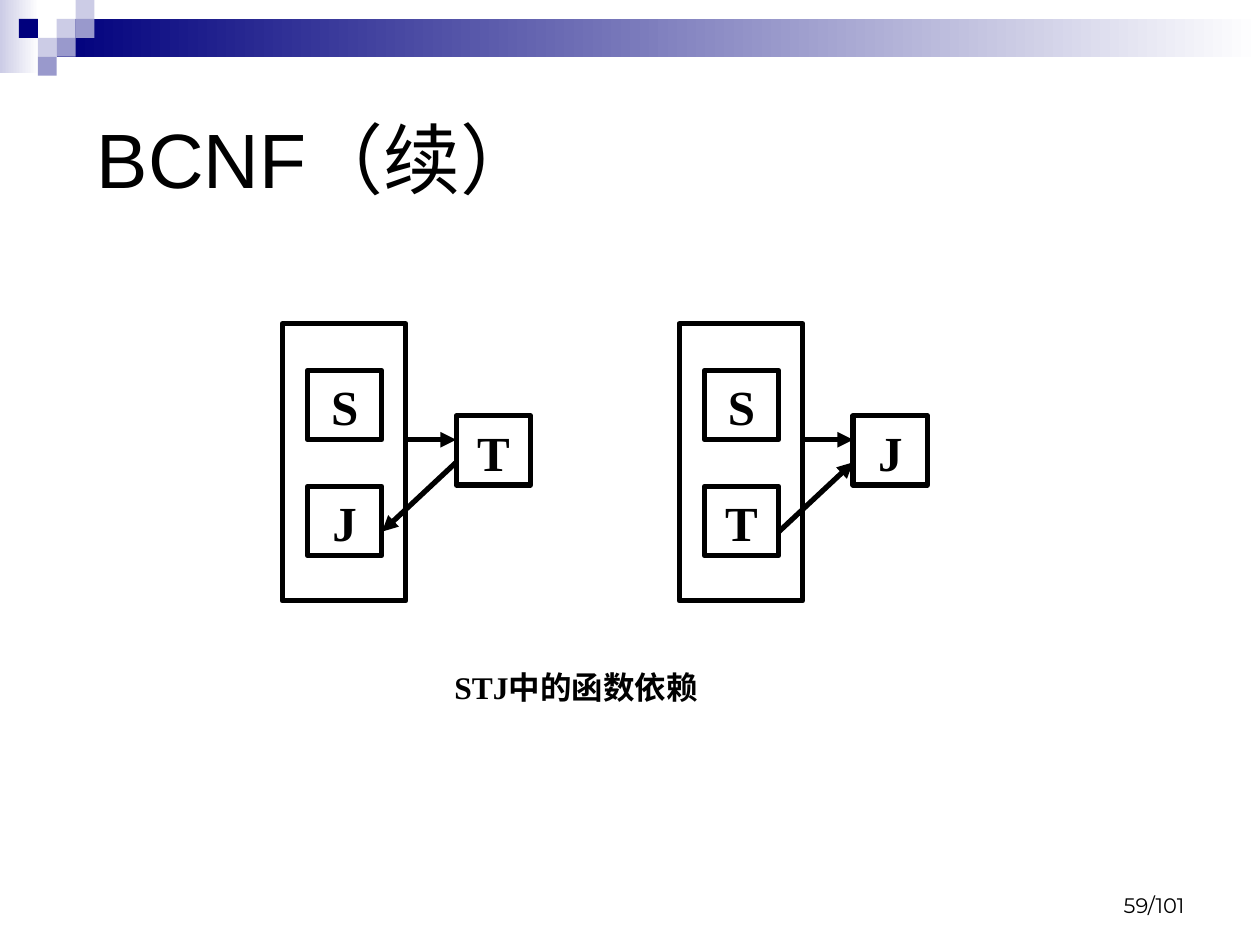
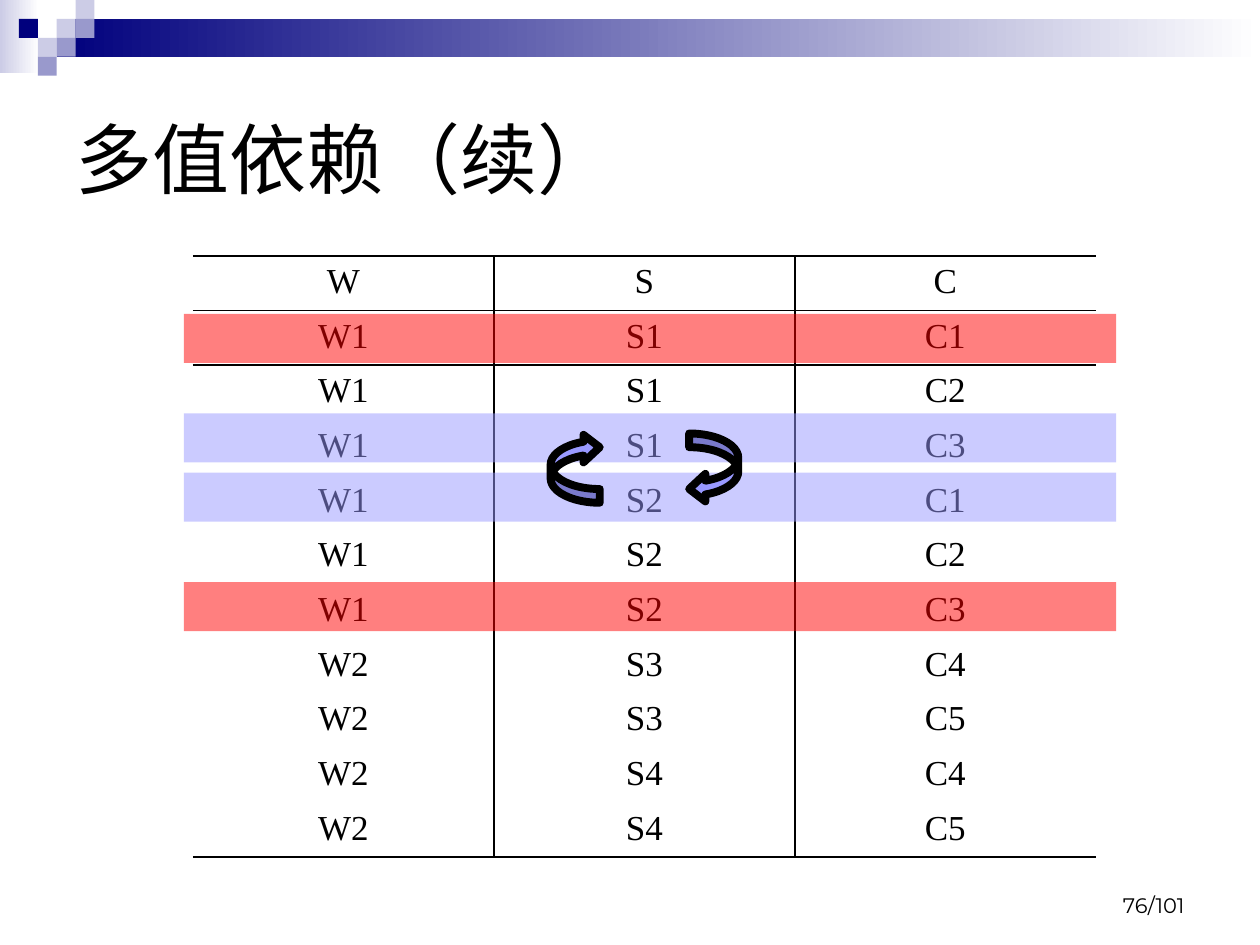
from dataclasses import dataclass

from lxml.etree import SubElement
from pptx import Presentation
from pptx.dml.color import RGBColor as RGB
from pptx.enum.shapes import MSO_CONNECTOR as CONNECTOR, MSO_SHAPE as SHAPE
from pptx.enum.text import MSO_ANCHOR as ANCHOR, MSO_AUTO_SIZE as AUTO_SIZE, PP_ALIGN as ALIGN
from pptx.oxml import parse_xml
from pptx.oxml.ns import nsdecls, qn
from pptx.util import Pt


@dataclass(frozen=True)
class Theme:
    black: RGB = RGB(0, 0, 0)
    white: RGB = RGB(255, 255, 255)
    navy: RGB = RGB.from_string("00007D")
    lilac: RGB = RGB.from_string("9999CC")
    pale: RGB = RGB.from_string("CCCCE6")
    violet: RGB = RGB.from_string("9999FF")
    red: RGB = RGB.from_string("FF0000")
    sans: str = "Arial"
    serif: str = "Times New Roman"
    footer: str = "Montserrat"
    title_size: int = 44
    node_size: int = 28
    table_size: int = 20
    caption_size: int = 18
    footer_size: int = 12
    heavy: float = 3
    arrow_line: float = 4.5


T = Theme()
UNIT = 10.8
NO_GRID = "{2D5ABB26-0587-4C30-8999-92F81FD0307C}"

MOSAIC = [
    (3, 1, T.pale), (4, 0, T.pale), (4, 1, T.lilac), (2, 2, T.pale),
    (1, 1, T.navy), (3, 2, T.lilac), (2, 3, T.lilac),
]

WSC_ROWS = [
    "W S C", "W1 S1 C1", "W1 S1 C2", "W1 S1 C3", "W1 S2 C1", "W1 S2 C2",
    "W1 S2 C3", "W2 S3 C4", "W2 S3 C5", "W2 S4 C4", "W2 S4 C5",
]

HIGHLIGHTS = [(236.2, T.violet), (179.3, T.red), (332.6, T.red), (270, T.violet)]


def set_text(tf, text, font, size, align, bold=False):
    tf.text = text
    p = tf.paragraphs[0]
    p.alignment = align
    for r in p.runs:
        r.font.name = font
        r.font.size = Pt(size)
        r.font.bold = bold
        r.font.color.rgb = T.black


def add_block(slide, box, fill=None, line=None, alpha=None, shape=SHAPE.RECTANGLE):
    s = slide.shapes.add_shape(shape, *map(Pt, box))
    s.shadow.inherit = False
    if fill is None:
        s.fill.background()
    else:
        s.fill.solid()
        s.fill.fore_color.rgb = fill
    if line is None:
        s.line.fill.background()
    else:
        s.line.color.rgb = T.black
        s.line.width = Pt(line)
    if alpha is not None:
        color = s.element.spPr.find(qn("a:solidFill"))[0]
        SubElement(color, qn("a:alpha"), val=str(alpha * 1000))
    return s


def add_gradient(slide, box, start):
    s = add_block(slide, box)
    s.fill.gradient()
    s.fill.gradient_angle = 0
    for stop, color in zip(s.fill.gradient_stops, (start, T.white)):
        stop.color.rgb = color


def add_label(slide, box, text, font, size, align, bold=False, anchor=ANCHOR.TOP):
    tf = slide.shapes.add_textbox(*map(Pt, box)).text_frame
    tf.word_wrap = True
    tf.vertical_anchor = anchor
    set_text(tf, text, font, size, align, bold)


def add_node(slide, x, y, text):
    s = add_block(slide, (x, y, 42.5, 39.6), line=T.heavy)
    s.text_frame.vertical_anchor = ANCHOR.TOP
    set_text(s.text_frame, text, T.serif, T.node_size, ALIGN.CENTER, True)


def add_arrow(slide, start, end):
    s = slide.shapes.add_connector(CONNECTOR.STRAIGHT, *map(Pt, start + end))
    s.line.color.rgb = T.black
    s.line.width = Pt(T.heavy)
    spPr = s.element.spPr
    SubElement(spPr.find(qn("a:ln")), qn("a:tailEnd"), type="triangle")
    SubElement(spPr, qn("a:effectLst"))


def add_dependency(slide, x, members, target, into_member):
    add_block(slide, (x, 185, 70.6, 158.4), line=T.heavy)
    for i, name in enumerate(members):
        add_node(slide, x + 14.4, 211.7 + i * 66.2, name)
    add_node(slide, x + 99.4, 237.6, target)
    add_arrow(slide, (x + 71, 251.3), (x + 99.4, 251.3))
    outer, inner = (x + 99.4, 264.2), (x + 57, 303.8)
    add_arrow(slide, *((outer, inner) if into_member else (inner, outer)))


def set_borders(cell, sides):
    cell.fill.background()
    tcPr = cell._tc.get_or_add_tcPr()
    for i, side in enumerate(s for s in "LRTB" if s in sides):
        tcPr.insert(i, parse_xml(
            f'<a:ln{side} {nsdecls("a")} w="12700"><a:solidFill>'
            f'<a:srgbClr val="{T.black}"/></a:solidFill></a:ln{side}>'))


def add_ruled_table(slide, left, top, col_width, row_height, rows):
    n_rows, n_cols = len(rows), len(rows[0])
    frame = slide.shapes.add_table(n_rows, n_cols, Pt(left), Pt(top),
                                   Pt(col_width * n_cols), Pt(row_height * n_rows))
    frame.element.xpath(".//a:tableStyleId")[0].text = NO_GRID
    table = frame.table
    table.first_row = table.horz_banding = False
    for i, row in enumerate(rows):
        for j, text in enumerate(row):
            cell = table.cell(i, j)
            set_text(cell.text_frame, text, T.serif, T.table_size, ALIGN.CENTER)
            sides = "L" * (j > 0) + "R" * (j < n_cols - 1)
            sides += "T" * (i < 2) + "B" * (i in (0, n_rows - 1))
            set_borders(cell, sides)


def add_swap_arrow(slide, x, rotation):
    s = add_block(slide, (x, 247.7, 28.1, 39.6), T.violet, T.arrow_line,
                  shape=SHAPE.CURVED_LEFT_ARROW)
    for i, value in enumerate((0.28, 0.56, 0.33)):
        s.adjustments[i] = value
    s.rotation = rotation


def new_slide(prs, title, page):
    slide = prs.slides.add_slide(prs.slide_layouts[5])
    add_gradient(slide, (0, 0, 22.3, 41.8), T.pale)
    add_gradient(slide, (3 * UNIT, UNIT, 720 - 3 * UNIT, 2 * UNIT), T.navy)
    for col, row, color in MOSAIC:
        add_block(slide, (col * UNIT, row * UNIT, UNIT, UNIT), color)

    s = slide.shapes.title
    s.left, s.top, s.width, s.height = map(Pt, (36, 36, 648, 108))
    tf = s.text_frame
    tf.auto_size = AUTO_SIZE.NONE
    tf.vertical_anchor = ANCHOR.MIDDLE
    set_text(tf, title, T.sans, T.title_size, ALIGN.LEFT)
    add_label(slide, (516, 492, 168, 36), f"{page}/101", T.footer, T.footer_size,
              ALIGN.RIGHT, anchor=ANCHOR.BOTTOM)
    return slide


def build_bcnf(prs):
    slide = new_slide(prs, " BCNF（续）", 59)
    add_dependency(slide, 161.3, "SJ", "T", into_member=True)
    add_dependency(slide, 388.1, "ST", "J", into_member=False)
    add_label(slide, (247, 378, 164.2, 39.6), "STJ中的函数依赖", T.serif,
              T.caption_size, ALIGN.CENTER, True)


def build_multivalued(prs):
    slide = new_slide(prs, "多值依赖（续）", 76)
    add_ruled_table(slide, 110.2, 146.2, 172, 31.2, [row.split() for row in WSC_ROWS])
    for top, color in HIGHLIGHTS:
        add_block(slide, (105.1, top, 532.8, 28.1), color, alpha=50)
    add_swap_arrow(slide, 393.8, 0)
    add_swap_arrow(slide, 314.6, 180)


def main():
    prs = Presentation()
    prs.slide_width, prs.slide_height = Pt(720), Pt(540)
    build_bcnf(prs)
    build_multivalued(prs)
    prs.save("out.pptx")


if __name__ == "__main__":
    main()
